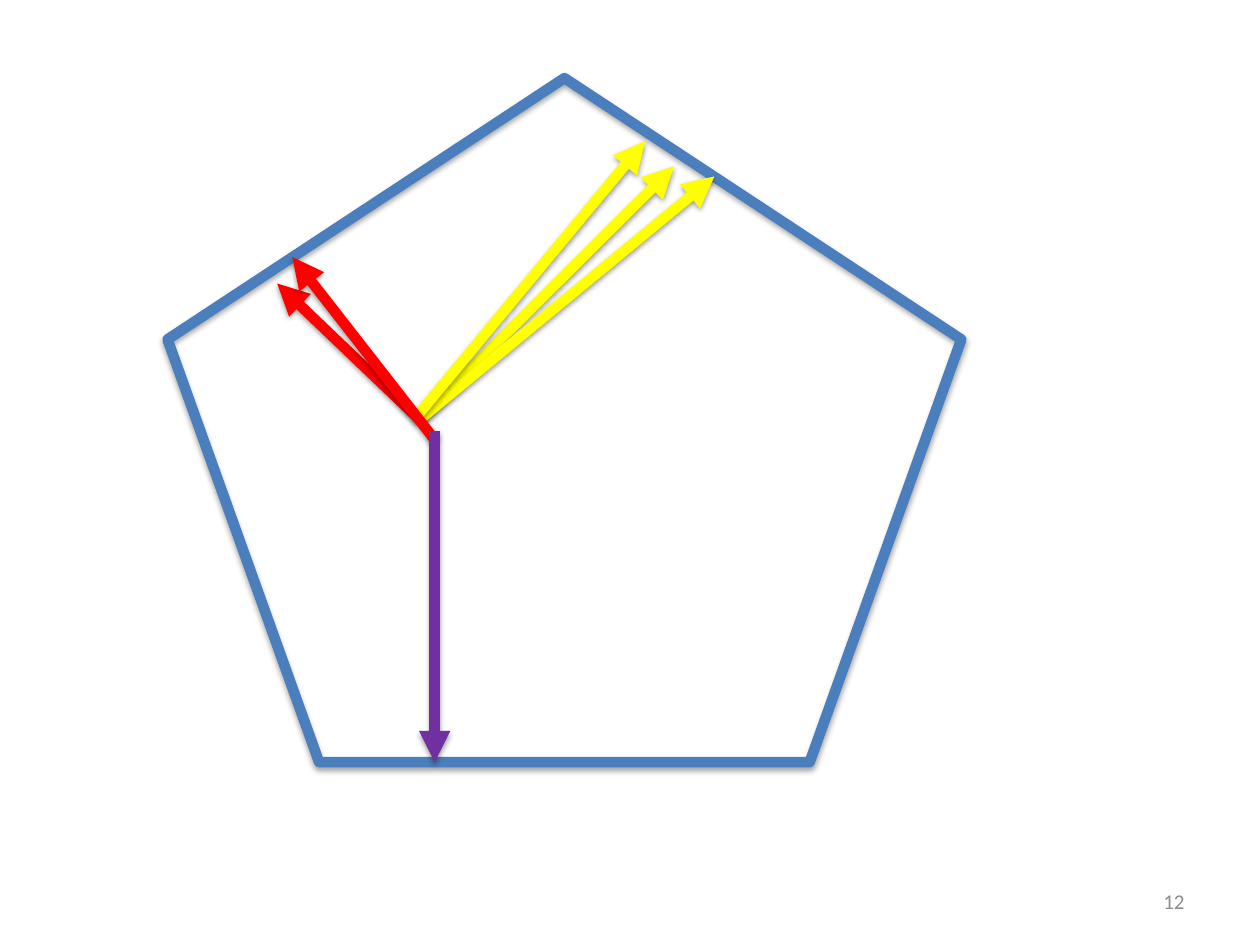
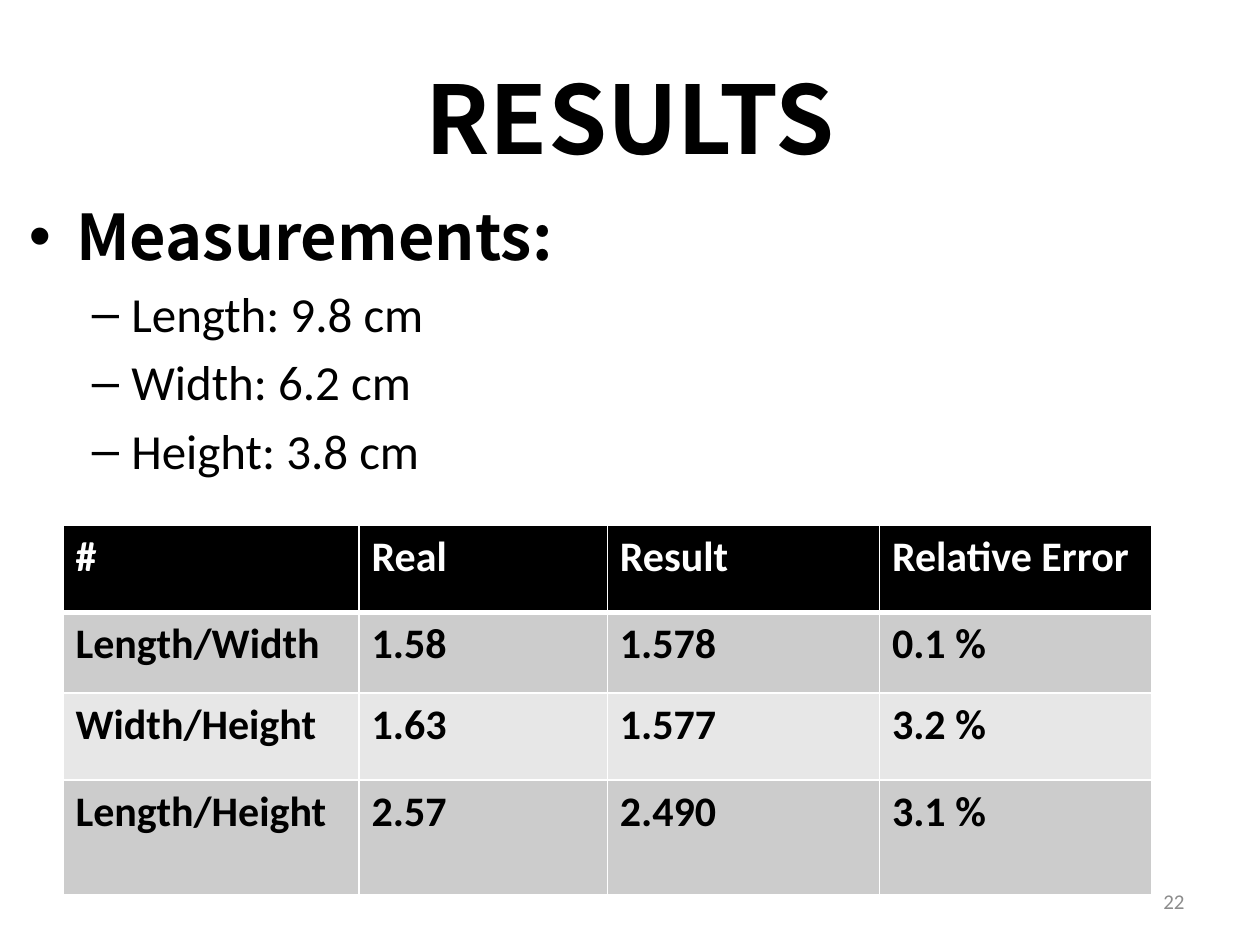
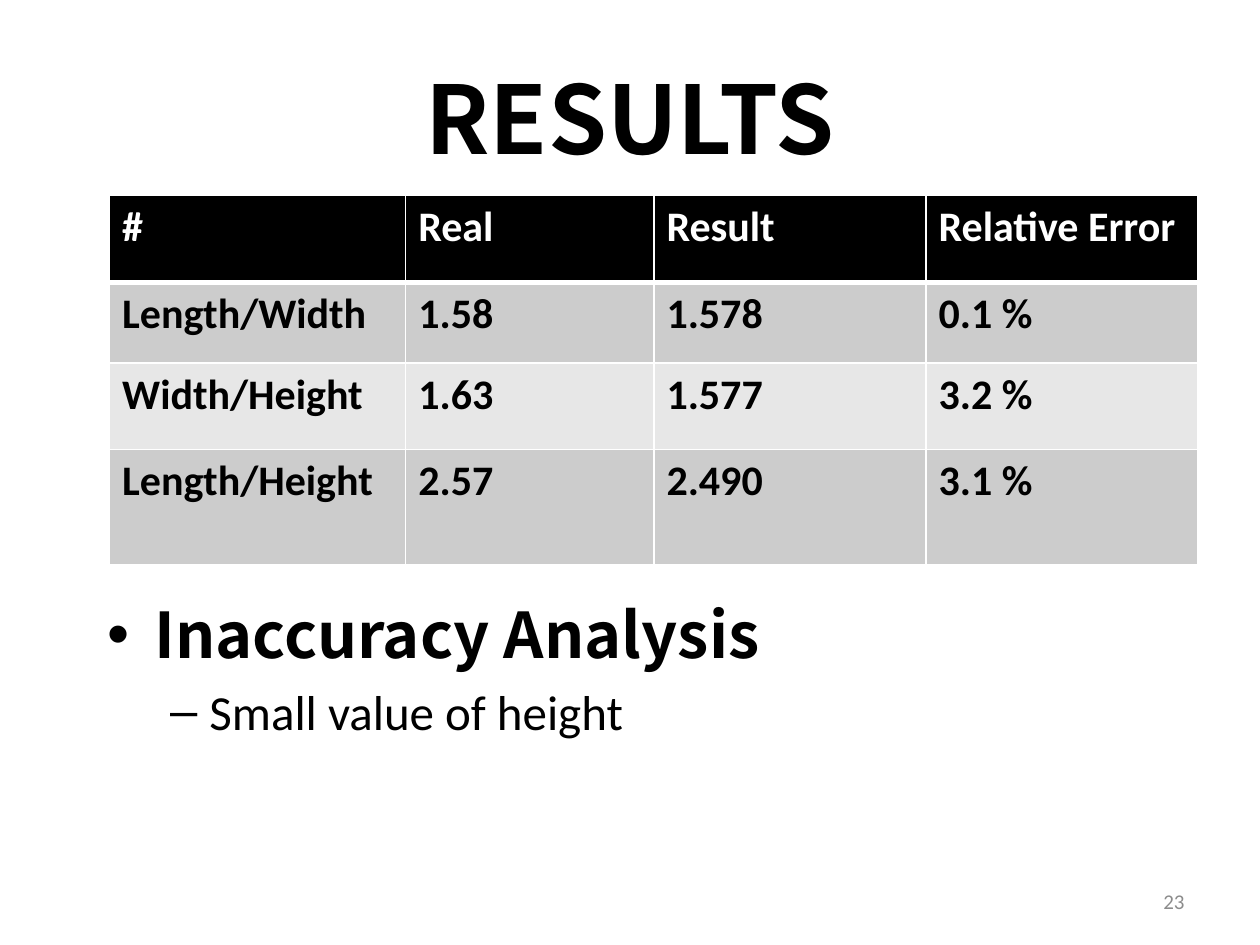
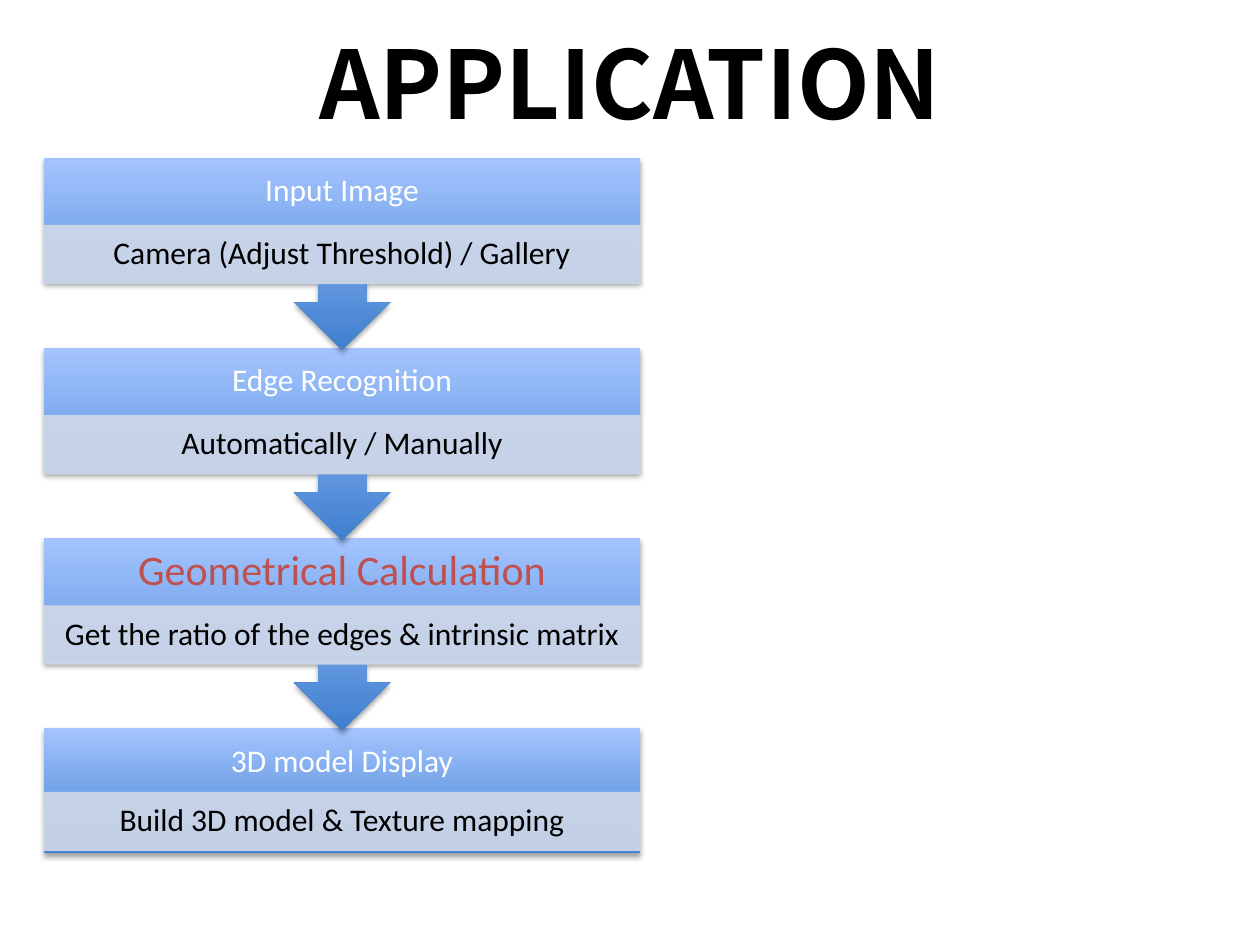
from lxml.etree import SubElement
from pptx import Presentation
from pptx.dml.color import RGBColor
from pptx.enum.shapes import MSO_CONNECTOR, MSO_SHAPE
from pptx.enum.text import MSO_ANCHOR, PP_ALIGN
from pptx.oxml.ns import qn
from pptx.util import Inches, Pt

STRAIGHT = MSO_CONNECTOR.STRAIGHT
PENTAGON = MSO_SHAPE.REGULAR_PENTAGON
RECTANGLE = MSO_SHAPE.RECTANGLE
CALLOUT = MSO_SHAPE.UP_ARROW_CALLOUT
MIDDLE = MSO_ANCHOR.MIDDLE
CENTER, RIGHT = PP_ALIGN.CENTER, PP_ALIGN.RIGHT
BLANK, TITLE_BODY, TITLE_ONLY = 6, 1, 5

COLORS = {
    "black": "000000", "white": "FFFFFF", "number": "8C8C8C", "outline": "5E457C",
    "pentagon": "4B7EBC", "yellow": "FFFF00", "red": "FF0000", "purple": "7030A0",
    "band_dark": "CCCCCC", "band_light": "E7E7E7", "detail": "D0D8E8",
    "step_dark": "3F7FCE", "step_light": "A4C4FF", "accent": "C0504D",
}
HEADING_FONT, BODY_FONT = "Noto Sans CJK SC", "Calibri"

ARROWS = [
    ("yellow", (3.33, 3.33), (5.35, 1.32)),
    ("red", (3.33, 3.33), (2.2, 2.25)),
    ("yellow", (3.33, 3.33), (5.67, 1.4)),
    ("yellow", (3.32, 3.29), (5.12, 1.12)),
    ("red", (3.45, 3.49), (2.32, 2.04)),
    ("purple", (3.45, 3.42), (3.45, 6.05)),
]
RATIOS = [
    ("#", "Real", "Result", "Relative Error"),
    ("Length/Width", "1.58", "1.578", "0.1 %"),
    ("Width/Height", "1.63", "1.577", "3.2 %"),
    ("Length/Height", "2.57", "2.490", "3.1 %"),
]
COLUMN_WIDTHS = (2.35, 1.97, 2.16, 2.16)
ROW_HEIGHTS = (0.69, 0.64, 0.69, 0.91)
STEPS = [
    ("Input Image", "Camera (Adjust Threshold) / Gallery", 18, "white"),
    ("Edge Recognition", "Automatically / Manually", 18, "white"),
    ("Geometrical Calculation", "Get the ratio of the edges & intrinsic matrix", 24, "accent"),
    ("3D model Display", "Build 3D model & Texture mapping", 18, "white"),
]


def rgb(name):
    """Return the named colour."""
    return RGBColor.from_string(COLORS[name])


def place(sp, left, top, width, height):
    """Move and size a shape in inches."""
    sp.left, sp.top, sp.width, sp.height = map(Inches, (left, top, width, height))


def set_font(p, size, color="black", name=BODY_FONT, bold=False):
    """Format the font of a whole paragraph."""
    p.font.size, p.font.name, p.font.bold = Pt(size), name, bold
    p.font.color.rgb = rgb(color)


def solid_line(parent, tag, color, width):
    """Add a solid line element."""
    ln = SubElement(parent, qn(tag), w=str(Pt(width)))
    fill = SubElement(ln, qn("a:solidFill"))
    SubElement(fill, qn("a:srgbClr"), val=COLORS[color])
    return ln


def add_shadow(sp, opacity=35, distance=1.8):
    """Give a shape a soft shadow below it."""
    effects = SubElement(sp._element.spPr, qn("a:effectLst"))
    shadow = SubElement(effects, qn("a:outerShdw"), blurRad=str(Pt(3.1)),
                        dist=str(Pt(distance)), dir="5400000", rotWithShape="0")
    color = SubElement(shadow, qn("a:srgbClr"), val=COLORS["black"])
    SubElement(color, qn("a:alpha"), val=str(opacity * 1000))


def set_opacity(fill_parent, percent):
    """Set the opacity of the solid fill found in an element."""
    color = fill_parent.find(qn("a:solidFill")).find(qn("a:srgbClr"))
    SubElement(color, qn("a:alpha"), val=str(percent * 1000))


def add_title(s, text, top=0.3):
    """Fill the title placeholder."""
    place(s.shapes.title, 0.5, top, 9, 1.25)
    tf = s.shapes.title.text_frame
    tf.text, tf.vertical_anchor = text, MIDDLE
    p = tf.paragraphs[0]
    p.alignment = CENTER
    set_font(p, 54, name=HEADING_FONT, bold=True)
    font = p._p.pPr.find(qn("a:defRPr"))
    font.insert(0, solid_line(font, "a:ln", "outline", 0.71))


def add_number(s, number):
    """Write the slide number at the lower right."""
    tf = s.shapes.add_textbox(*map(Inches, (7.17, 6.95, 2.33, 0.4))).text_frame
    tf.text, tf.word_wrap, tf.vertical_anchor = str(number), True, MIDDLE
    tf.paragraphs[0].alignment = RIGHT
    set_font(tf.paragraphs[0], 12, "number")


def add_list(s, left, top, heading, items):
    """Fill the body placeholder with a heading and its items."""
    body = s.placeholders[1]
    place(body, left, top, 9, 4.95)
    tf = body.text_frame
    tf.text = heading
    p = tf.paragraphs[0]
    p.space_before = Pt(0)
    set_font(p, 36, name=HEADING_FONT, bold=True)
    for item in items:
        p = tf.add_paragraph()
        p.text, p.level = item, 1
        set_font(p, 28)


def add_ratio_table(s, left, top):
    """Draw the table of ratios with its banded rows."""
    frame = s.shapes.add_table(len(RATIOS), len(COLUMN_WIDTHS), Inches(left), Inches(top),
                               Inches(sum(COLUMN_WIDTHS)), Inches(sum(ROW_HEIGHTS)))
    table = frame.table
    for column, width in zip(table.columns, COLUMN_WIDTHS):
        column.width = Inches(width)
    for i, (row, height) in enumerate(zip(table.rows, ROW_HEIGHTS)):
        row.height = Inches(height)
        fill = "black" if i == 0 else "band_dark" if i % 2 else "band_light"
        widths = {"L": 1, "R": 1, "T": 3 if i == 1 else 1, "B": 3 if i == 0 else 1}
        for cell, text in zip(row.cells, RATIOS[i]):
            cell.text = text
            set_font(cell.text_frame.paragraphs[0], 24, "black" if i else "white", bold=True)
            for side, width in widths.items():
                solid_line(cell._tc.get_or_add_tcPr(), f"a:ln{side}", "white", width)
            cell.fill.solid()
            cell.fill.fore_color.rgb = rgb(fill)


def add_arrow(s, color, start, end):
    """Draw a thick arrow between two points."""
    arrow = s.shapes.add_connector(STRAIGHT, *map(Inches, start + end))
    arrow.line.color.rgb, arrow.line.width = rgb(color), Pt(6)
    SubElement(arrow.line._get_or_add_ln(), qn("a:tailEnd"), type="triangle")
    add_shadow(arrow, 38, 1.6)


def set_step_text(sp, text, size, color, inset_x, inset_y):
    """Write centred text in a part of a step."""
    tf = sp.text_frame
    tf.text, tf.word_wrap, tf.vertical_anchor = text, True, MIDDLE
    tf.margin_left = tf.margin_right = Inches(inset_x)
    tf.margin_top = tf.margin_bottom = Inches(inset_y)
    p = tf.paragraphs[0]
    p.alignment, p.line_spacing = CENTER, 0.9
    set_font(p, size, color)


def add_step(group, left, top, step, is_last):
    """Draw one step: its block, heading and detail band."""
    heading, detail, size, color = step
    width = 4.73
    block = group.shapes.add_shape(RECTANGLE if is_last else CALLOUT, 0, 0, 0, 0)
    place(block, left, top, width, 0.99 if is_last else 1.53)
    block.rotation = 0 if is_last else 180
    block.fill.gradient()
    block.fill.gradient_angle = 90
    for stop, name in zip(block.fill.gradient_stops, ("step_dark", "step_light")):
        stop.color.rgb = rgb(name)
    block._element.spPr.find(qn("a:gradFill")).set("rotWithShape", "0")
    block.line.fill.background()
    add_shadow(block)

    title = group.shapes.add_textbox(0, 0, 0, 0)
    place(title, left, top, width, 0.54)
    inset = 0.19 if size > 18 else 0.14
    set_step_text(title, heading, size, color, inset, inset)

    band = group.shapes.add_shape(RECTANGLE, 0, 0, 0, 0)
    place(band, left, top + (0.51 if is_last else 0.54), width, 0.46)
    band.shadow.inherit = False
    band.fill.solid()
    band.fill.fore_color.rgb = band.line.color.rgb = rgb("detail")
    band.line.width = Pt(0.75)
    for parent in (band._element.spPr, band.line._get_or_add_ln()):
        set_opacity(parent, 90)
    set_step_text(band, detail, 18, "black", 0.14, 0.03)


def pentagon_slide(prs):
    """Build the pentagon with arrows towards its sides."""
    s = prs.slides.add_slide(prs.slide_layouts[BLANK])
    add_number(s, 12)
    pentagon = s.shapes.add_shape(PENTAGON, *map(Inches, (1.33, 0.62, 6.3, 5.43)))
    pentagon.fill.background()
    pentagon.line.color.rgb, pentagon.line.width = rgb("pentagon"), Pt(6)
    add_shadow(pentagon)
    for arrow in ARROWS:
        add_arrow(s, *arrow)


def results_slide(prs, number, list_at, table_at, heading, items):
    """Build a results slide with a list and the ratio table."""
    s = prs.slides.add_slide(prs.slide_layouts[TITLE_BODY])
    add_title(s, "RESULTS")
    add_number(s, number)
    add_list(s, *list_at, heading, items)
    add_ratio_table(s, *table_at)


def application_slide(prs):
    """Build the process of four steps."""
    s = prs.slides.add_slide(prs.slide_layouts[TITLE_ONLY])
    add_title(s, "APPLICATION", 0.02)
    group = s.shapes.add_group_shape()
    last = len(STEPS) - 1
    for i in range(last, -1, -1):
        add_step(group, 0.35, 1.25 + 1.51 * i, STEPS[i], i == last)


def main():
    """Build and save the slides."""
    prs = Presentation()
    prs.slide_width, prs.slide_height = Inches(10), Inches(7.5)
    pentagon_slide(prs)
    results_slide(prs, 22, (0.13, 1.52), (0.5, 4.17), "Measurements:",
                  ["Length: 9.8 cm", "Width: 6.2 cm", "Height: 3.8 cm"])
    results_slide(prs, 23, (0.75, 4.68), (0.87, 1.55), "Inaccuracy Analysis",
                  ["Small value of height"])
    application_slide(prs)
    prs.save("out.pptx")


if __name__ == "__main__":
    main()
